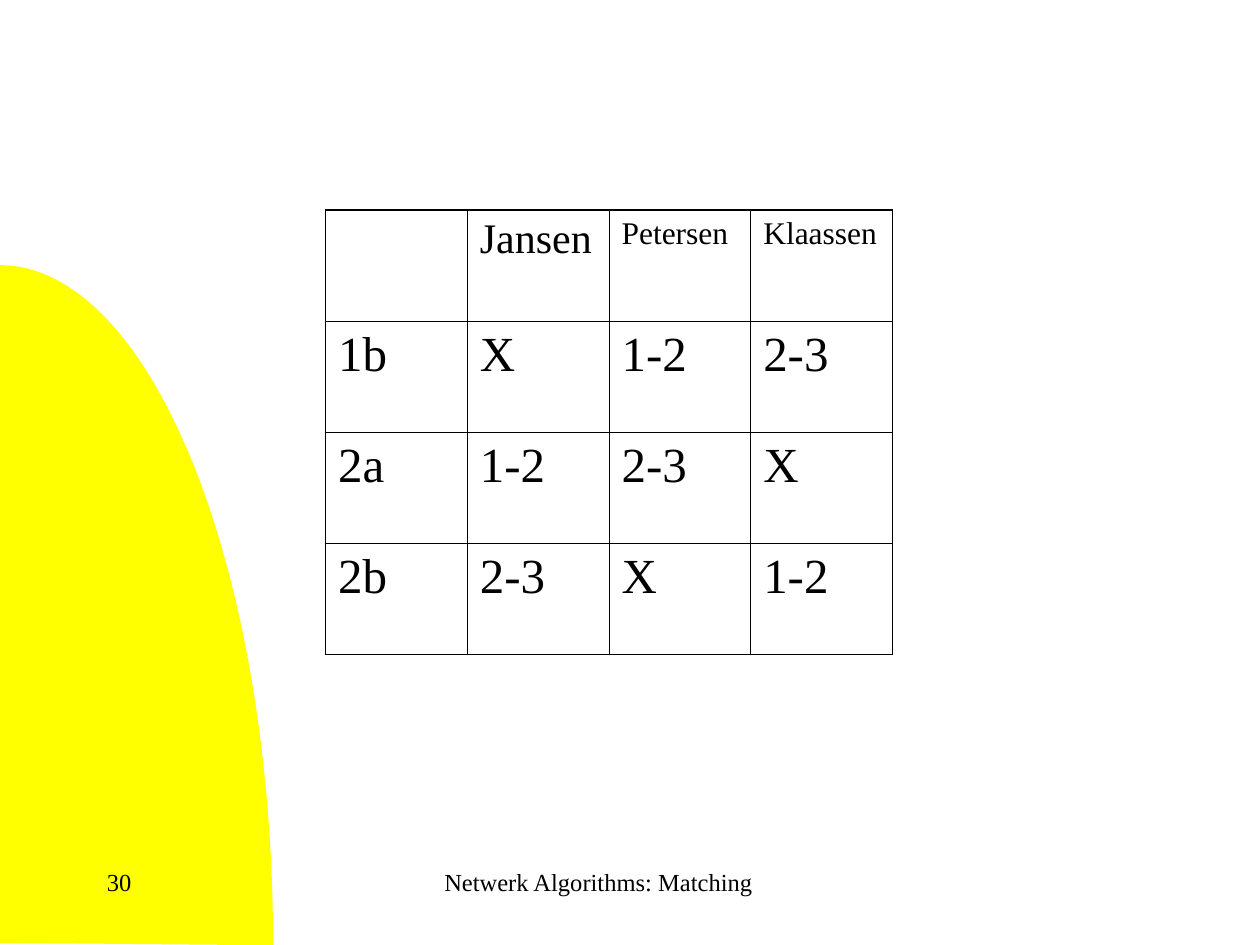
"""Build the slide with the pairing table."""
import lxml.etree
import pptx
import pptx.dml.color
import pptx.enum.shapes
import pptx.enum.text
import pptx.oxml.ns
import pptx.util

Pt = pptx.util.Pt
BLACK = pptx.dml.color.RGBColor(0, 0, 0)
YELLOW = pptx.dml.color.RGBColor(255, 255, 0)
ROWS = [
    ["", "Jansen", "Petersen", "Klaassen"],
    ["1b", "X", "1-2", "2-3"],
    ["2a", "1-2", "2-3", "X"],
    ["2b", "2-3", "X", "1-2"],
]
HEADS = [28, 24, 18, 18]


class Deck:
    def __init__(self, slide, face="Times New Roman"):
        self.slide = slide
        self.face = face

    def style(self, para, size):
        font = para.font
        font.name, font.size = self.face, Pt(size)
        font.color.rgb = BLACK

    def text(self, text, x, y, w, h, size, align=pptx.enum.text.PP_ALIGN.LEFT):
        box = self.slide.shapes.add_textbox(Pt(x), Pt(y), Pt(w), Pt(h))
        box.text_frame.word_wrap = True
        para = box.text_frame.paragraphs[0]
        para.text, para.alignment = text, align
        self.style(para, size)

    def arc(self, x, y, w, h, end):
        kind = pptx.enum.shapes.MSO_SHAPE.ARC
        shape = self.slide.shapes.add_shape(kind, Pt(x), Pt(y), Pt(w), Pt(h))
        shape.adjustments[1] = end
        shape.shadow.inherit = False
        shape.fill.solid()
        shape.fill.fore_color.rgb = YELLOW
        shape.line.fill.background()

    def edge(self, cell, sides):
        props = cell._tc.get_or_add_tcPr()
        for i, (side, width) in enumerate(sides.items()):
            line = lxml.etree.Element(pptx.oxml.ns.qn("a:ln" + side), w=str(Pt(width)))
            fill = lxml.etree.SubElement(line, pptx.oxml.ns.qn("a:solidFill"))
            lxml.etree.SubElement(fill, pptx.oxml.ns.qn("a:srgbClr"), val=str(BLACK))
            props.insert(i, line)

    def table(self, rows, heads, x, y, w, h, size, thick=1.08, thin=0.45):
        high, wide = len(rows), len(rows[0])
        frame = self.slide.shapes.add_table(high, wide, Pt(x), Pt(y), Pt(w), Pt(h))
        grid = frame.table
        grid.first_row = grid.horz_banding = False
        for r, row in enumerate(rows):
            for c, text in enumerate(row):
                cell = grid.cell(r, c)
                cell.text = text
                cell.fill.background()
                self.style(cell.text_frame.paragraphs[0], size if r else heads[c])
                self.edge(cell, {
                    "L": thin if c else thick,
                    "R": thick if c == wide - 1 else thin,
                    "T": thin if r else thick,
                    "B": thick if r == high - 1 else thin,
                })


def main():
    show = pptx.Presentation()
    show.slide_width, show.slide_height = Pt(720), Pt(540)
    deck = Deck(show.slides.add_slide(show.slide_layouts[6]))
    deck.arc(-156, 151.5, 312, 774.5, 0.3)
    deck.table(ROWS, HEADS, 186, 120, 324, 254, 28)
    deck.text("Netwerk Algorithms: Matching", 228, 492, 228, 36, 14,
              pptx.enum.text.PP_ALIGN.CENTER)
    deck.text("30", 54, 492, 150, 36, 14)
    show.save("out.pptx")


if __name__ == "__main__":
    main()
